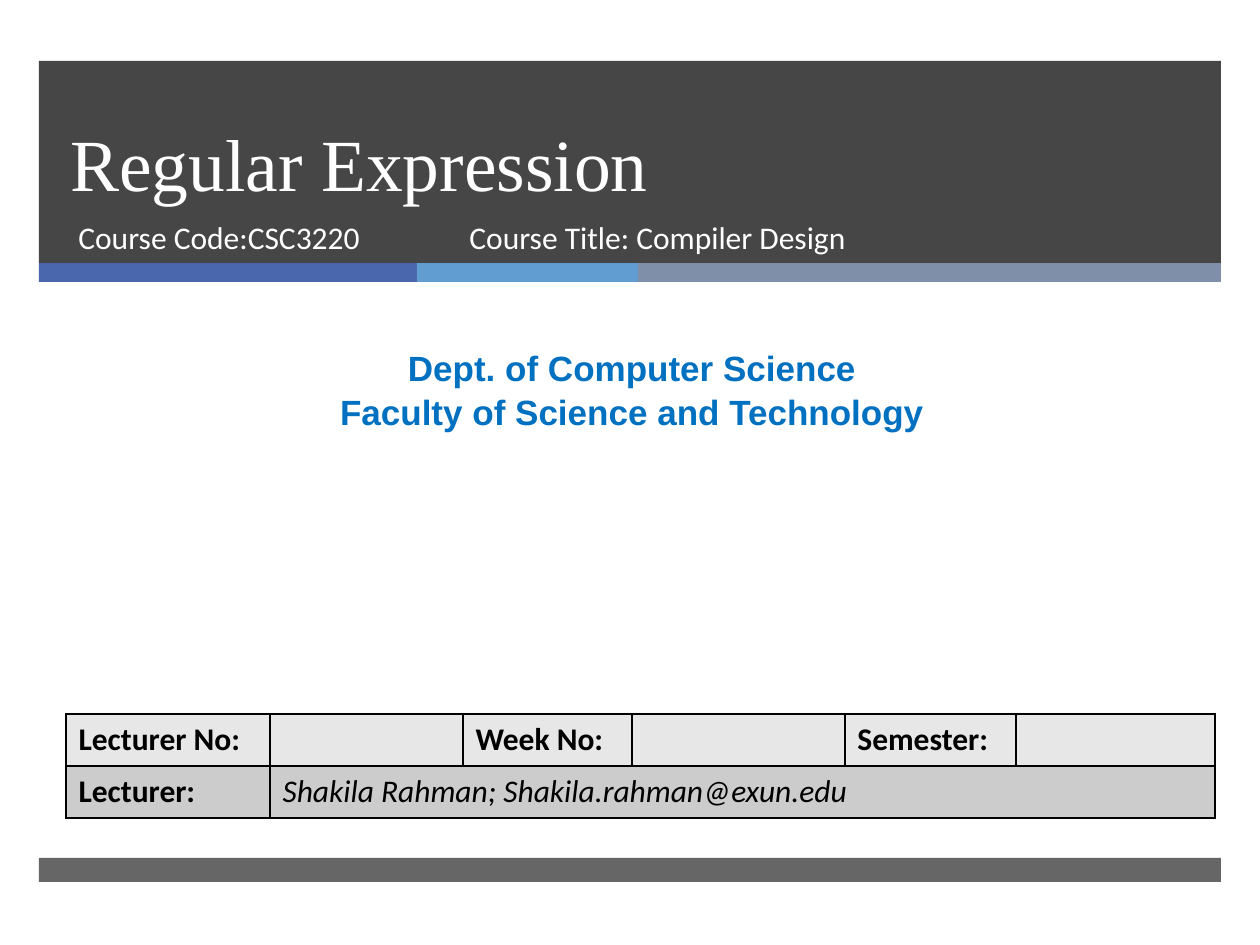
from lxml import etree
from pptx import Presentation
from pptx.dml.color import RGBColor
from pptx.enum.shapes import MSO_SHAPE
from pptx.enum.text import MSO_ANCHOR, PP_ALIGN
from pptx.oxml import parse_xml
from pptx.oxml.ns import nsdecls, qn
from pptx.util import Pt

PX = 914400 / 126
RECTANGLE = MSO_SHAPE.RECTANGLE
TOP, BOTTOM = MSO_ANCHOR.TOP, MSO_ANCHOR.BOTTOM
LEFT, CENTER = PP_ALIGN.LEFT, PP_ALIGN.CENTER


def emu(*lengths):
    return [round(length * PX) for length in lengths]


def add_run(paragraph, text, font, size, color, bold=False, italic=False):
    run = paragraph.add_run()
    run.text = text
    run.font.name = font
    run.font.size = Pt(size)
    run.font.bold = bold
    run.font.italic = italic
    run.font.color.rgb = RGBColor.from_string(color)


presentation = Presentation()
presentation.slide_width, presentation.slide_height = emu(1260, 945)
slide = presentation.slides.add_slide(presentation.slide_layouts[6])

# Header band, three-colour stripe and footer bar: box, colour, opacity in percent
bars = [
    ((39, 61, 1182, 202), "262626", 85),
    ((39, 263, 378, 19), "4A66AC", 100),
    ((417, 263, 221, 19), "629DD1", 100),
    ((638, 263, 583, 19), "7F8FA9", 100),
    ((39, 858, 1182, 24), "262626", 70),
]
for box, color, opacity in bars:
    shape = slide.shapes.add_shape(RECTANGLE, *emu(*box))
    shape.shadow.inherit = False
    shape.line.fill.background()
    shape.fill.solid()
    shape.fill.fore_color.rgb = RGBColor.from_string(color)
    if opacity < 100:
        fill_color = shape.fill._xPr.find(".//" + qn("a:srgbClr"))
        etree.SubElement(fill_color, qn("a:alpha"), val=str(opacity * 1000))

# Title, course details and department
texts = [
    ((58, 62, 1076, 150), ["Regular Expression"],
     ("Times New Roman", 42, "FFFFFF"), BOTTOM, LEFT, Pt(46)),
    ((66, 212, 384, 67), ["Course Code:CSC3220"],
     ("Calibri", 18, "FFFFFF"), TOP, LEFT, 1.0),
    ((457, 212, 573, 67), ["Course Title: Compiler Design"],
     ("Calibri", 18, "FFFFFF"), TOP, LEFT, 1.0),
    ((10, 338, 1244, 97), ["Dept. of Computer Science", "Faculty of Science and Technology"],
     ("Arial", 20, "0070C0", True), TOP, CENTER, 1.05),
]
for box, lines, style, anchor, alignment, spacing in texts:
    frame = slide.shapes.add_textbox(*emu(*box)).text_frame
    frame.word_wrap = True
    frame.vertical_anchor = anchor
    for index, line in enumerate(lines):
        paragraph = frame.add_paragraph() if index else frame.paragraphs[0]
        paragraph.alignment = alignment
        paragraph.line_spacing = spacing
        add_run(paragraph, line, *style)

# Lecture details table
column_widths = [204, 193, 169, 213, 171, 199]
row_height = 52
rows = [
    ("E7E7E7", ["Lecturer No:", "", "Week No:", "", "Semester:", ""]),
    ("CCCCCC", ["Lecturer:", "Shakila Rahman; Shakila.rahman@exun.edu", "", "", "", ""]),
]
table = slide.shapes.add_table(
    len(rows), len(column_widths),
    *emu(66, 714, sum(column_widths), row_height * len(rows))).table
for column, width in zip(table.columns, emu(*column_widths)):
    column.width = width
for row_index, (color, labels) in enumerate(rows):
    table.rows[row_index].height = emu(row_height)[0]
    for column_index, label in enumerate(labels):
        cell = table.cell(row_index, column_index)
        if label:
            is_label = label.endswith(":")
            add_run(cell.text_frame.paragraphs[0], label, "Calibri", 18, "000000",
                    bold=is_label, italic=not is_label)
        properties = cell._tc.get_or_add_tcPr()
        for side in ("lnL", "lnR", "lnT", "lnB"):
            properties.append(parse_xml(
                f'<a:{side} {nsdecls("a")} w="12700"><a:solidFill>'
                f'<a:srgbClr val="000000"/></a:solidFill></a:{side}>'))
        cell.fill.solid()
        cell.fill.fore_color.rgb = RGBColor.from_string(color)
table.cell(1, 1).merge(table.cell(1, 5))

presentation.save("out.pptx")
